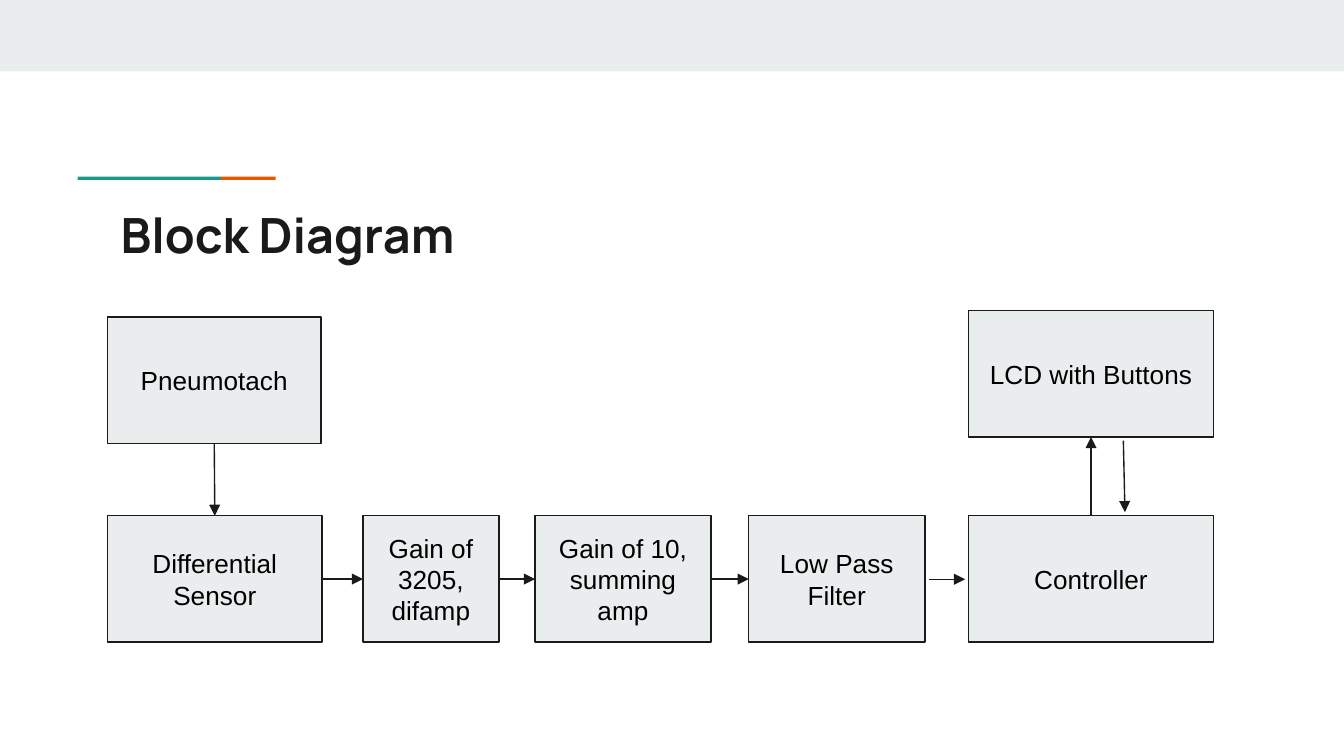
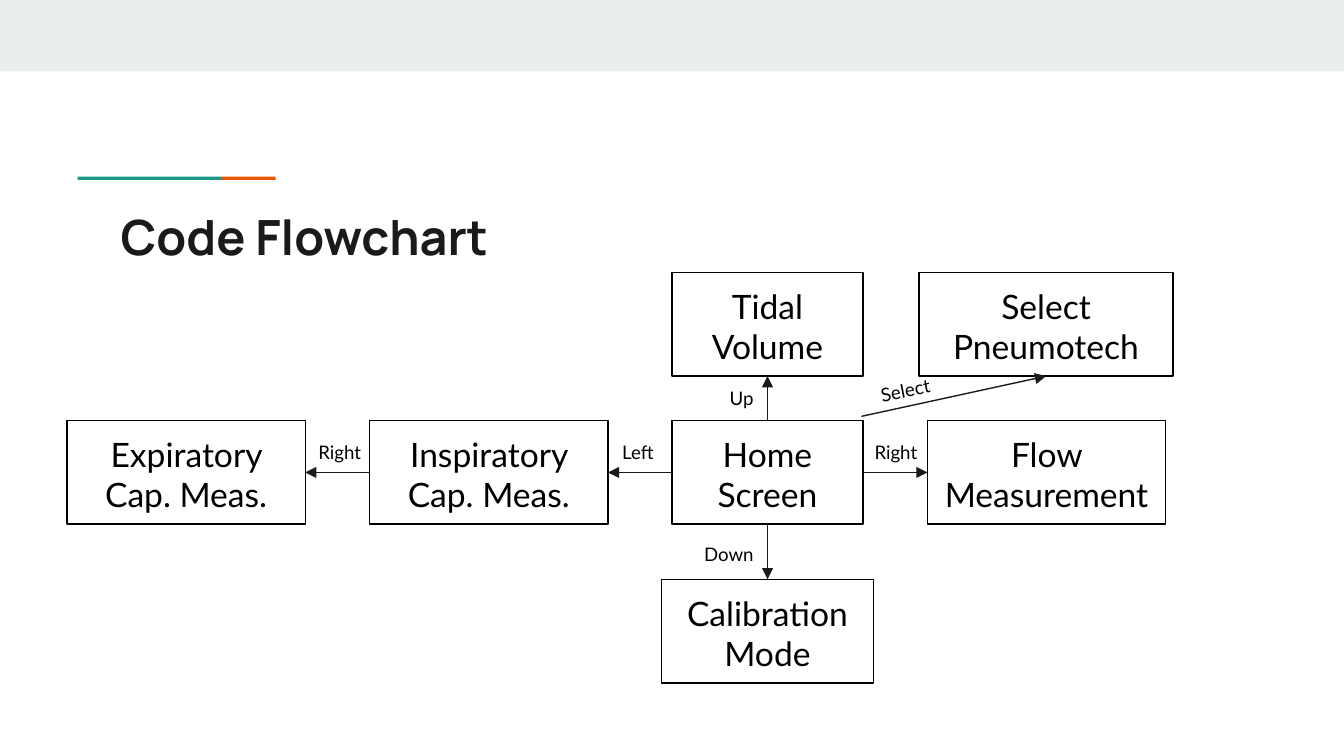
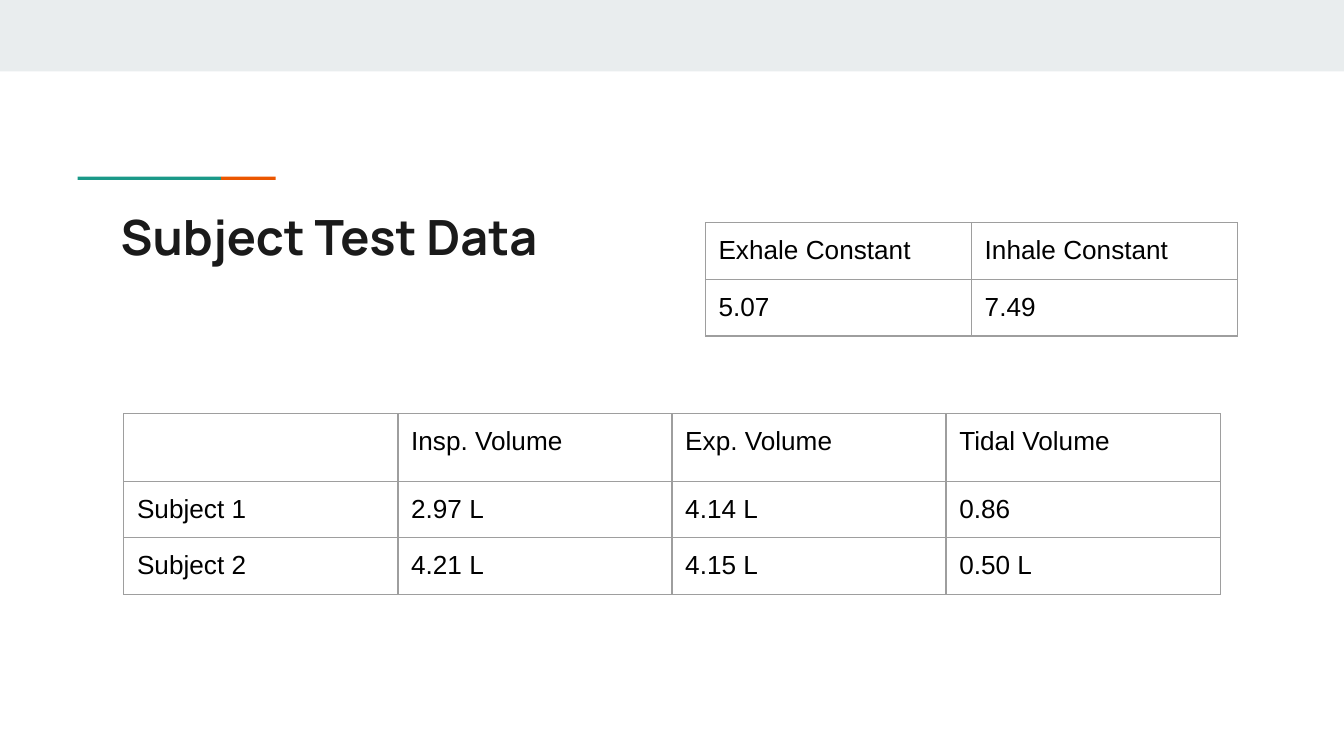
from lxml import etree
from pptx import Presentation
from pptx.dml.color import RGBColor
from pptx.enum import shapes as kinds, text as txt
from pptx.oxml import parse_xml
from pptx.oxml.ns import nsdecls, qn
from pptx.util import Cm, Pt

INK, BLACK, PALE, GREY = "1A1A1A", "000000", "E9EDEE", "9E9E9E"
TEAL, ORANGE = "1A9988", "EB5600"
TOP, LEFT, BOTTOM, RIGHT = range(4)
PAD = 0.25

# left, top, width, height, fill
TRIM = [
    (0, 0, 25.4, 1.35, PALE),
    (1.47, 3.34, 2.71, 0.06, TEAL),
    (4.18, 3.34, 1.03, 0.06, ORANGE),
]

# A box is name: (left, top, width); a link joins (name, side) or (x, y) ends.
BLOCK = {
    "title": ("Block Diagram", 3.63),
    "style": dict(high=2.39, fill=PALE, edge=INK, face="Arial", size=14,
                  anchor=txt.MSO_ANCHOR.MIDDLE),
    "boxes": {
        "Pneumotach": (2.03, 5.99, 4.04),
        "Differential Sensor": (2.03, 9.75, 4.06),
        "Gain of 3205, difamp": (6.86, 9.75, 2.57),
        "Gain of 10, summing amp": (10.11, 9.75, 3.33),
        "Low Pass Filter": (14.15, 9.75, 3.33),
        "Controller": (18.31, 9.75, 4.62),
        "LCD with Buttons": (18.31, 5.87, 4.62),
    },
    "links": [
        (("Pneumotach", BOTTOM), ("Differential Sensor", TOP)),
        (("Differential Sensor", RIGHT), ("Gain of 3205, difamp", LEFT)),
        (("Gain of 3205, difamp", RIGHT), ("Gain of 10, summing amp", LEFT)),
        (("Gain of 10, summing amp", RIGHT), ("Low Pass Filter", LEFT)),
        ((17.55, 10.95), (18.24, 10.95)),
        (("Controller", TOP), ("LCD with Buttons", BOTTOM)),
        ((21.23, 8.33), (21.26, 9.68)),
    ],
    "labels": [],
}

FLOW = {
    "title": ("Code Flowchart", 3.66),
    "style": dict(high=1.96, fill=None, edge=BLACK, face="Lato", size=18,
                  anchor=txt.MSO_ANCHOR.TOP),
    "boxes": {
        "Home Screen": (12.7, 7.95, 3.61),
        "Tidal Volume": (12.7, 5.15, 3.61),
        "Flow Measurement": (17.53, 7.95, 4.5),
        "Inspiratory Cap. Meas.": (6.99, 7.95, 4.5),
        "Expiratory Cap. Meas.": (1.27, 7.95, 4.5),
        "Calibration Mode": (12.5, 10.95, 4.01),
        "Select Pneumotech": (17.37, 5.15, 4.8),
    },
    "links": [
        (("Home Screen", LEFT), ("Inspiratory Cap. Meas.", RIGHT)),
        (("Inspiratory Cap. Meas.", LEFT), ("Expiratory Cap. Meas.", RIGHT)),
        (("Home Screen", RIGHT), ("Flow Measurement", LEFT)),
        (("Home Screen", TOP), ("Tidal Volume", BOTTOM)),
        (("Home Screen", BOTTOM), ("Calibration Mode", TOP)),
        ((16.28, 7.87), ("Select Pneumotech", BOTTOM)),
    ],
    # text, left, top, width, turn
    "labels": [
        ("Left", 11.51, 8.08, 1.22, 0),
        ("Up", 13.54, 7.06, 1.22, 0),
        ("Right", 16.28, 8.08, 1.42, 0),
        ("Down", 13.06, 10.01, 1.78, 0),
        ("Select", 16.38, 6.88, 1.78, -11.1),
        ("Right", 5.77, 8.08, 1.42, 0),
    ],
}

DATA_TITLE = ("Subject Test Data", 3.66)
# left, top, column width, row heights, rows
GRIDS = [
    (2.34, 7.82, 5.18, (1.09, 1.07, 1.07), [
        ("", "Insp. Volume", "Exp. Volume", "Tidal Volume"),
        ("Subject 1", "2.97 L", "4.14 L", "0.86"),
        ("Subject 2", "4.21 L", "4.15 L", "0.50 L"),
    ]),
    (13.33, 4.21, 5.03, (1.07, 1.07), [
        ("Exhale Constant", "Inhale Constant"),
        ("5.07", "7.49"),
    ]),
]


def color(code):
    return RGBColor.from_string(code)


def write(frame, words, face, size, ink=BLACK, bold=False,
          align=txt.PP_ALIGN.LEFT, anchor=txt.MSO_ANCHOR.TOP):
    frame.word_wrap = True
    frame.auto_size = txt.MSO_AUTO_SIZE.NONE
    frame.vertical_anchor = anchor
    frame.margin_left = frame.margin_right = Cm(PAD)
    frame.margin_top = frame.margin_bottom = Cm(PAD)
    frame.text = words
    para = frame.paragraphs[0]
    para.alignment = align
    font = para.font
    font.name, font.size, font.bold = face, Pt(size), bold
    font.color.rgb = color(ink)


def add_rect(slide, left, top, wide, high, fill=None, edge=None):
    rect = slide.shapes.add_shape(kinds.MSO_SHAPE.RECTANGLE,
                                  Cm(left), Cm(top), Cm(wide), Cm(high))
    rect.shadow.inherit = False
    if fill:
        rect.fill.solid()
        rect.fill.fore_color.rgb = color(fill)
    else:
        rect.fill.background()
    if edge:
        rect.line.color.rgb = color(edge)
        rect.line.width = Pt(0.75)
    else:
        rect.line.fill.background()
    return rect


def add_trim(deck, layout):
    """Draw the band and accent line, then move them to the layout."""
    slide = deck.slides[0]
    for spot, part in enumerate(TRIM, 2):
        layout.shapes.element.insert(spot, add_rect(slide, *part).element)


def add_page(deck, layout, words, top):
    slide = deck.slides.add_slide(layout)
    title = slide.shapes.title
    title.left, title.top = Cm(2.03), Cm(top)
    title.width, title.height = Cm(21.36), Cm(1.5)
    write(title.text_frame, words, "Manrope", 26, INK, True)
    return slide


def add_arrow(slide, boxes, start, end):
    line = slide.shapes.add_connector(kinds.MSO_CONNECTOR.STRAIGHT, 0, 0, 0, 0)
    if start[0] in boxes:
        line.begin_connect(boxes[start[0]], start[1])
    else:
        line.begin_x, line.begin_y = map(Cm, start)
    if end[0] in boxes:
        line.end_connect(boxes[end[0]], end[1])
    else:
        line.end_x, line.end_y = map(Cm, end)
    line.line.color.rgb = color(INK)
    line.line.width = Pt(0.75)
    props = line.element.spPr
    etree.SubElement(props.find(qn("a:ln")), qn("a:tailEnd"), type="triangle")
    etree.SubElement(props, qn("a:effectLst"))


def add_chart_page(deck, layout, plan):
    """Build a slide of boxes, arrows and labels."""
    slide = add_page(deck, layout, *plan["title"])
    style = plan["style"]
    boxes = {}
    for name, (left, top, wide) in plan["boxes"].items():
        box = add_rect(slide, left, top, wide, style["high"],
                       style["fill"], style["edge"])
        write(box.text_frame, name, style["face"], style["size"],
              align=txt.PP_ALIGN.CENTER, anchor=style["anchor"])
        boxes[name] = box
    for start, end in plan["links"]:
        add_arrow(slide, boxes, start, end)
    for words, left, top, wide, turn in plan["labels"]:
        label = slide.shapes.add_textbox(Cm(left), Cm(top), Cm(wide), Cm(0.84))
        label.rotation = turn
        write(label.text_frame, words, "Lato", 10)


def add_edges(cell):
    props = cell._tc.get_or_add_tcPr()
    for spot, side in enumerate("LRTB"):
        props.insert(spot, parse_xml(
            f'<a:ln{side} {nsdecls("a")} w="{Pt(0.75)}"><a:solidFill>'
            f'<a:srgbClr val="{GREY}"/></a:solidFill></a:ln{side}>'))


def add_grid(slide, left, top, wide, highs, rows):
    count = len(rows[0])
    grid = slide.shapes.add_table(len(rows), count, Cm(left), Cm(top),
                                  Cm(wide * count), Cm(sum(highs))).table
    grid.first_row = grid.horz_banding = False
    for col in grid.columns:
        col.width = Cm(wide)
    for r, (high, row) in enumerate(zip(highs, rows)):
        grid.rows[r].height = Cm(high)
        for c, words in enumerate(row):
            cell = grid.cell(r, c)
            cell.margin_left = cell.margin_right = Cm(PAD)
            cell.margin_top = cell.margin_bottom = Cm(PAD)
            cell.fill.background()
            add_edges(cell)
            if words:
                cell.text = words
                font = cell.text_frame.paragraphs[0].font
                font.name, font.size = "Arial", Pt(14)
                font.color.rgb = color(BLACK)


def main():
    deck = Presentation()
    deck.slide_width, deck.slide_height = Cm(25.4), Cm(14.29)
    layout = deck.slide_layouts.get_by_name("Title Only")
    for plan in (BLOCK, FLOW):
        add_chart_page(deck, layout, plan)
    slide = add_page(deck, layout, *DATA_TITLE)
    for grid in GRIDS:
        add_grid(slide, *grid)
    add_trim(deck, layout)
    deck.save("out.pptx")


if __name__ == "__main__":
    main()
